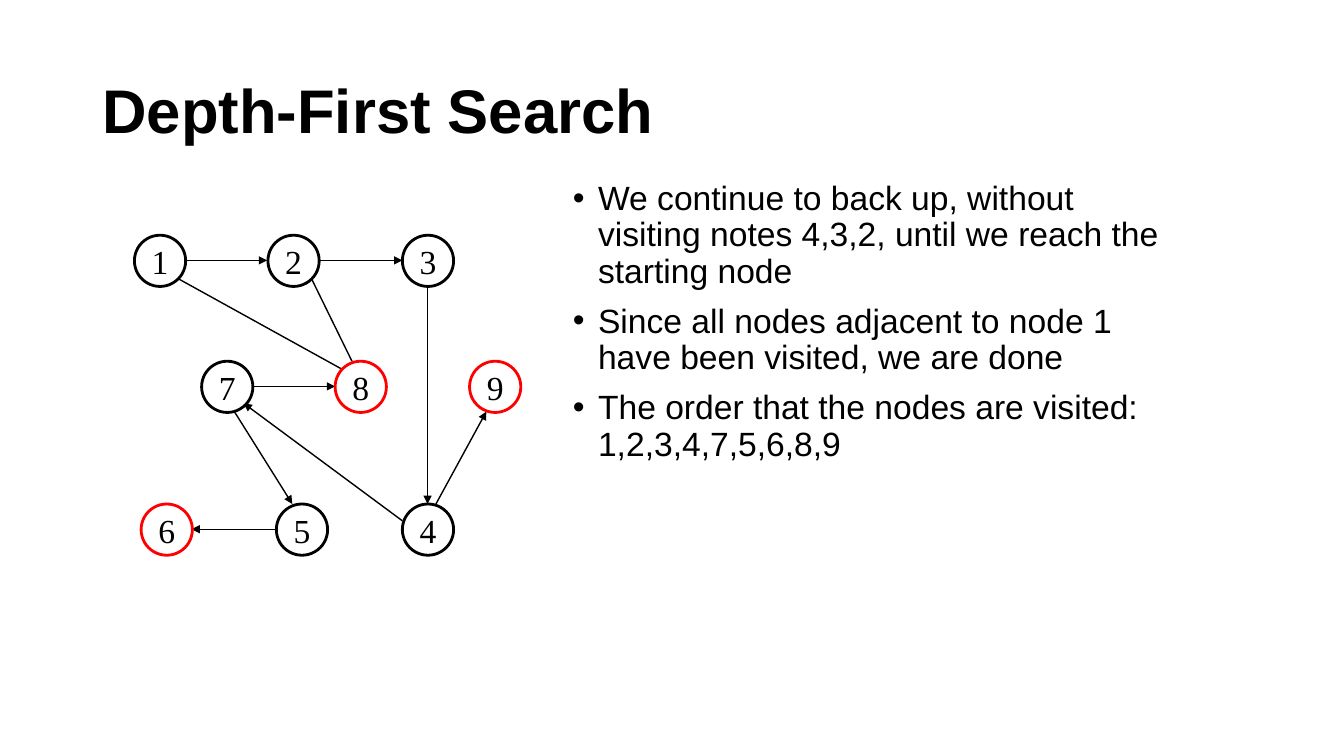
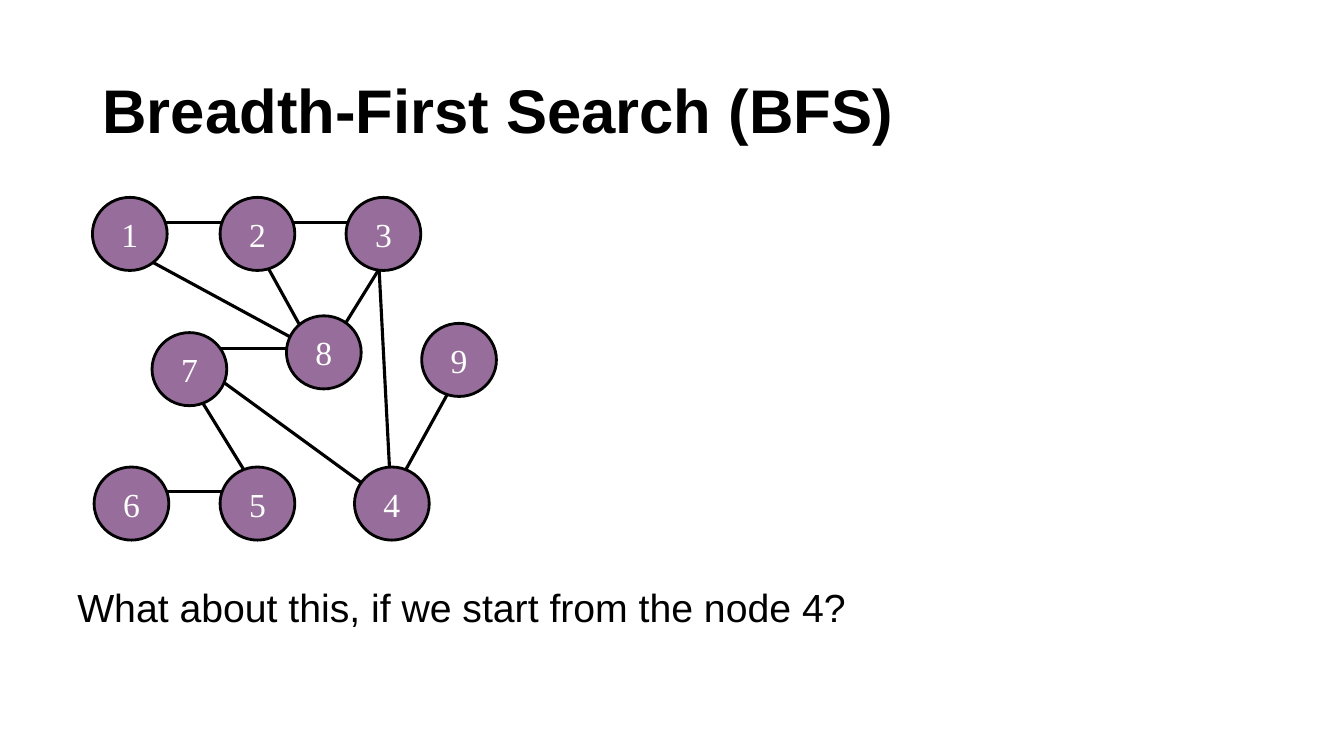
from lxml import etree
from pptx import Presentation
from pptx.dml.color import RGBColor
from pptx.enum.shapes import MSO_CONNECTOR, MSO_SHAPE
from pptx.enum.text import MSO_ANCHOR, MSO_AUTO_SIZE, PP_ALIGN
from pptx.oxml.ns import qn
from pptx.util import Inches, Pt

CIRCLE = MSO_SHAPE.OVAL
STRAIGHT = MSO_CONNECTOR.STRAIGHT
TOP, MIDDLE = MSO_ANCHOR.TOP, MSO_ANCHOR.MIDDLE
LEFT, CENTER = PP_ALIGN.LEFT, PP_ALIGN.CENTER
NO_FIT = MSO_AUTO_SIZE.NONE

COLUMNS, ROWS = 160, 90
BLACK, WHITE, RED, PURPLE = "000000", "FFFFFF", "FF0000", "976D9B"


def color(hex_value):
    return RGBColor.from_string(hex_value)


class Deck:
    TEXT_FONT = "Arial"
    NODE_FONT = "Times New Roman"
    TITLE_AREA = (11, 4.8, 138, 17.4)
    LINE_SPACING = 0.9
    HANGING = Inches(0.25)

    def __init__(self):
        self.prs = Presentation()
        self.prs.slide_width = Inches(13.33)
        self.prs.slide_height = Inches(7.5)
        self.slide = None

    def x(self, columns):
        return round(self.prs.slide_width * columns / COLUMNS)

    def y(self, rows):
        return round(self.prs.slide_height * rows / ROWS)

    def box(self, left, top, width, height):
        return self.x(left), self.y(top), self.x(width), self.y(height)

    def style(self, paragraph, font, size, ink=BLACK, bold=False):
        for run in paragraph.runs:
            run.font.name = font
            run.font.size = Pt(size)
            run.font.bold = bold
            run.font.color.rgb = color(ink)

    def place(self, holder, area, anchor):
        holder.left, holder.top, holder.width, holder.height = self.box(*area)
        frame = holder.text_frame
        frame.word_wrap = True
        frame.auto_size = NO_FIT
        frame.vertical_anchor = anchor
        return frame

    def new_slide(self, title):
        self.slide = self.prs.slides.add_slide(self.prs.slide_layouts[1])
        frame = self.place(self.slide.shapes.title, self.TITLE_AREA, MIDDLE)
        frame.text = title
        heading = frame.paragraphs[0]
        heading.alignment = LEFT
        heading.line_spacing = self.LINE_SPACING
        self.style(heading, self.TEXT_FONT, 44, bold=True)

    def body(self, area, items, size, bulleted=False):
        frame = self.place(self.slide.placeholders[1], area, TOP)
        frame.text = "\n".join(items)
        for index, item in enumerate(frame.paragraphs):
            self.bullet(item, bulleted)
            item.alignment = LEFT
            item.line_spacing = self.LINE_SPACING
            item.space_before = Pt(10 if index else 0)
            self.style(item, self.TEXT_FONT, size)

    def bullet(self, paragraph, shown):
        props = paragraph._p.get_or_add_pPr()
        indent = self.HANGING if shown else 0
        props.set("marL", str(indent))
        props.set("indent", str(-indent))
        if shown:
            etree.SubElement(props, qn("a:buFont"), typeface=self.TEXT_FONT)
            etree.SubElement(props, qn("a:buChar"), char="•")
        else:
            etree.SubElement(props, qn("a:buNone"))

    def edge(self, start, end, weight, arrow=False):
        link = self.slide.shapes.add_connector(
            STRAIGHT, self.x(start[0]), self.y(start[1]), self.x(end[0]), self.y(end[1]))
        link.line.color.rgb = color(BLACK)
        link.line.width = Pt(weight)
        if arrow:
            etree.SubElement(link.line._get_or_add_ln(), qn("a:tailEnd"), type="triangle")
        etree.SubElement(link._element.spPr, qn("a:effectLst"))

    def node(self, label, corner, size, fill, outline, ink):
        circle = self.slide.shapes.add_shape(CIRCLE, *self.box(*corner, *size))
        circle.shadow.inherit = False
        circle.fill.solid()
        circle.fill.fore_color.rgb = color(fill)
        circle.line.color.rgb = color(outline)
        circle.line.width = Pt(2)
        frame = circle.text_frame
        frame.margin_left = frame.margin_right = 0
        frame.margin_top = frame.margin_bottom = 0
        frame.word_wrap = False
        frame.vertical_anchor = MIDDLE
        frame.text = str(label)
        frame.paragraphs[0].alignment = CENTER
        self.style(frame.paragraphs[0], self.NODE_FONT, 24, ink)

    def graph(self, nodes, size, edges, weight, fill=WHITE, ink=BLACK, leaves=()):
        for edge in edges:
            self.edge(*edge[:2], weight, *edge[2:])
        for label, corner in nodes.items():
            outline = RED if label in leaves else BLACK
            self.node(label, corner, size, fill, outline, ink)


def depth_first(deck):
    deck.new_slide("Depth-First Search")
    deck.body((67, 21, 73.2, 58.6), [
        "We continue to back up, without visiting notes 4,3,2, until we reach the starting node",
        "Since all nodes adjacent to node 1 have been visited, we are done",
        "The order that the nodes are visited: 1,2,3,4,7,5,6,8,9",
    ], 24, bulleted=True)
    nodes = {
        1: (16, 28), 2: (31.9, 28), 3: (47.9, 28),
        7: (24, 43), 8: (39.9, 43), 9: (55.9, 43),
        6: (16.8, 60), 5: (32.9, 60), 4: (47.9, 60),
    }
    edges = [
        ((21.9, 31), (31.8, 31), True),
        ((37.8, 31), (47.9, 31), True),
        ((50.9, 34), (50.9, 60), True),
        ((27.9, 49), (34.8, 60), True),
        ((32.9, 63), (22.8, 63), True),
        ((47.9, 62), (29, 48), True),
        ((29.9, 46), (39.9, 46), True),
        ((51.9, 60), (57.9, 49), True),
        ((37, 33), (41.9, 43)),
        ((20.9, 33), (40.8, 44)),
    ]
    deck.graph(nodes, (6.1, 6.1), edges, 1, leaves=(6, 8, 9))


def breadth_first(deck):
    deck.new_slide("Breadth-First Search (BFS)")
    deck.body((8, 69.5, 135, 18), ["What about this, if we start from the node 4?"], 28)
    nodes = {
        1: (11, 23.5), 2: (26.2, 23.5), 3: (41.2, 23.5),
        7: (18.1, 39.6), 8: (34.1, 37.6), 9: (50.2, 38.5),
        6: (11.2, 55.6), 5: (26.2, 55.6), 4: (42.2, 55.6),
    }
    edges = [
        ((16, 26.5), (30.5, 26.5)),
        ((31.9, 26.5), (46.4, 26.5)),
        ((15, 29.5), (38.4, 42.2)),
        ((30.1, 28.6), (38.6, 44)),
        ((46.7, 29.5), (37.9, 43.7)),
        ((24, 41.5), (38.4, 41.5)),
        ((22, 44.5), (32.4, 61.4)),
        ((16.9, 58.5), (31.4, 58.5)),
        ((24, 43.6), (47.6, 60.8)),
        ((45, 29.5), (46.6, 60.1)),
        ((54.6, 44.5), (46, 60.1)),
    ]
    deck.graph(nodes, (8.9, 8.7), edges, 2.25, fill=PURPLE, ink=WHITE)


def main():
    deck = Deck()
    depth_first(deck)
    breadth_first(deck)
    deck.prs.save("out.pptx")


if __name__ == "__main__":
    main()
